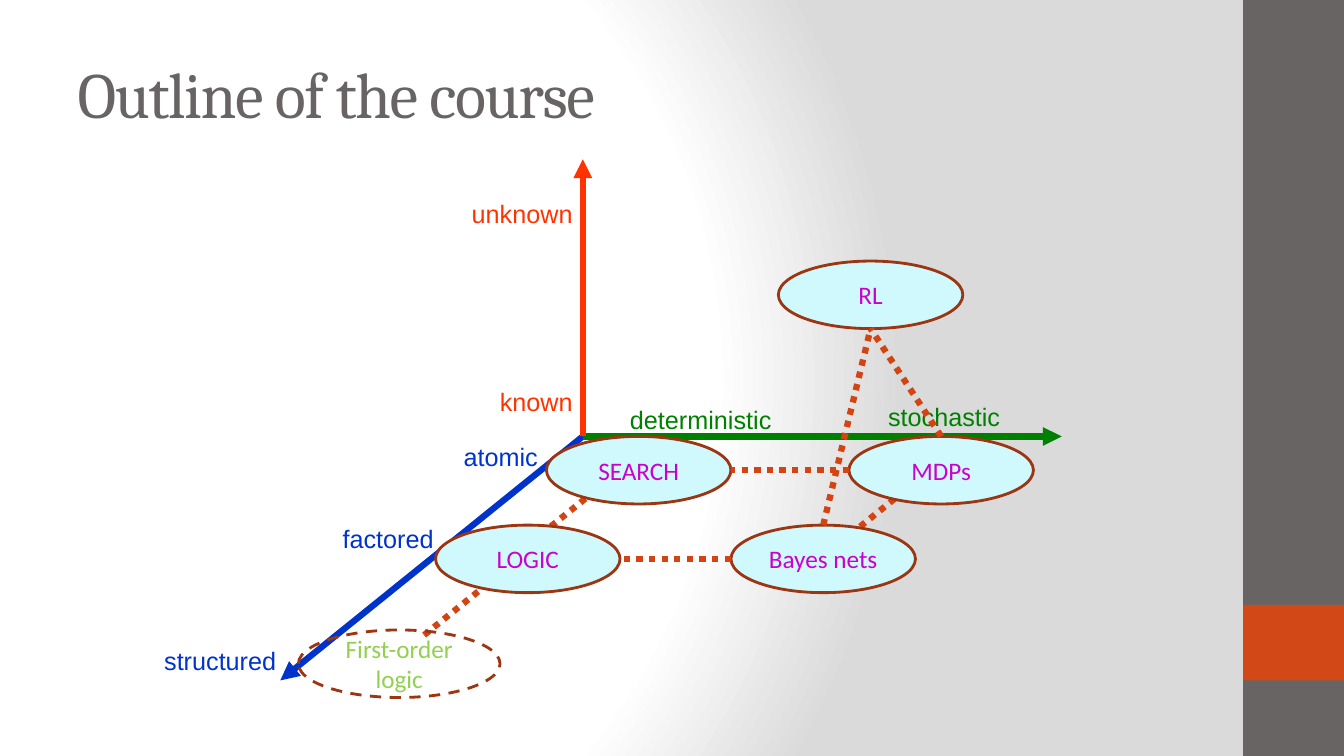
import pptx
import pptx.dml.color
import pptx.enum.dml
import pptx.enum.shapes
import pptx.enum.text
import pptx.oxml
import pptx.oxml.ns
import pptx.util

RGB = pptx.dml.color.RGBColor
GREY = RGB(0x69, 0x64, 0x64)
ORANGE = RGB(0xD3, 0x48, 0x17)
RUST = RGB(0xD3, 0x44, 0x12)
BROWN = RGB(0x9C, 0x35, 0x11)
CYAN = RGB(0xD0, 0xF9, 0xFE)
PURPLE = RGB(0xCC, 0x00, 0xCC)
LIME = RGB(0x92, 0xD0, 0x50)
BLUE = RGB(0x00, 0x33, 0xCC)
GREEN = RGB(0x00, 0x80, 0x00)
RED = RGB(0xFF, 0x33, 0x00)

KIND = pptx.enum.shapes.MSO_SHAPE
DASH = pptx.enum.dml.MSO_LINE
ALIGN = pptx.enum.text.PP_ALIGN
MIDDLE = pptx.enum.text.MSO_ANCHOR.MIDDLE
FIT = pptx.enum.text.MSO_AUTO_SIZE

LABEL = {"name": "Arial", "size": pptx.util.Pt(18)}
NODE = {"name": "Calibri", "size": pptx.util.Pt(18)}
TITLE = {"name": "Cambria", "size": pptx.util.Pt(46)}

# Axes: colour, arrow end, labels (text, left, top, width), from the origin
AXES = [
    (BLUE, (-3, 2.42), [("atomic", -1.28, 0, 0.95),
                        ("factored", -2.48, 0.81, 1.11),
                        ("structured", -4.25, 2.02, 1.32)]),
    (GREEN, (4.75, 0), [("deterministic", 0.37, -0.37, 1.67),
                        ("stochastic", 2.93, -0.4, 1.32)]),
    (RED, (0, -2.75), [("known", -0.92, -0.55, 0.93),
                       ("unknown", -1.2, -2.41, 1.21)]),
]

# Topics: left, top, width, from the origin
HIGH = 0.67
TOPICS = {
    "RL": (1.94, -1.74, 1.83),
    "Bayes nets": (1.47, 0.88, 1.83),
    "First-order logic": (-2.82, 1.92, 2),
    "LOGIC": (-1.46, 0.88, 1.83),
    "SEARCH": (-0.36, 0, 1.83),
    "MDPs": (2.64, 0, 1.83),
}
SIDES = {"top": (0.5, 0), "left": (0, 0.5),
         "bottom": (0.5, 1), "right": (1, 0.5)}
LINKS = [("Bayes nets", "top", "RL", "bottom"),
         ("MDPs", "left", "SEARCH", "right"),
         ("Bayes nets", "left", "LOGIC", "right"),
         ("MDPs", "top", "RL", "bottom")]
SLANTS = [(0.22, 0.46), (-0.94, 1.46), (3.19, 0.54)]
SLANT = (-0.67, 0.54)


def inch(*nums):
    return [pptx.util.Inches(num) for num in nums]


def shift(base, step):
    return base[0] + step[0], base[1] + step[1]


def style(item, form):
    for key, value in form.items():
        setattr(item, key, value)


def write(frame, text, form, color):
    part = frame.paragraphs[0]
    run = part.add_run()
    run.text = text
    style(run.font, form)
    run.font.color.rgb = color
    return part, run


def draw_line(shapes, start, end, color, dash=None, arrow=False):
    line = shapes.add_connector(pptx.enum.shapes.MSO_CONNECTOR.STRAIGHT,
                                *inch(*start, *end))
    line.line.color.rgb = color
    style(line.line, {"width": pptx.util.Pt(4.5), "dash_style": dash})
    props = line.element.spPr
    if arrow:
        tail = pptx.oxml.parse_xml(
            f'<a:tailEnd {pptx.oxml.ns.nsdecls("a")} type="triangle"/>')
        line.line._get_or_add_ln().append(tail)
    props.append(pptx.oxml.parse_xml(
        f'<a:effectLst {pptx.oxml.ns.nsdecls("a")}/>'))


def draw_back(slide):
    slide.background.fill.solid()
    props = slide.element.find(".//" + pptx.oxml.ns.qn("p:bgPr"))
    stops = "".join(
        f'<a:gs pos="{pos}000"><a:srgbClr val="{color}"/></a:gs>'
        for pos, color in [(0, "FFFFFF"), (75, "FFFFFF"), (100, "DADADA")])
    fill = pptx.oxml.parse_xml(
        f'<a:gradFill {pptx.oxml.ns.nsdecls("a")} rotWithShape="1">'
        f'<a:gsLst>{stops}</a:gsLst><a:path path="circle"><a:fillToRect '
        'l="20000" t="50000" r="100000" b="50000"/></a:path></a:gradFill>')
    props.replace(props[0], fill)


def draw_side(slide, left, top, width, height):
    # Full-height band, then its accent block
    for color, drop, tall in [(GREY, 0, height), (ORANGE, 6, 0.75)]:
        band = slide.shapes.add_shape(
            KIND.RECTANGLE, *inch(left, top + drop, width, tall))
        band.shadow.inherit = False
        band.fill.solid()
        band.fill.fore_color.rgb = color
        band.line.fill.background()


def draw_title(slide, *box):
    title = slide.shapes.title
    style(title, dict(zip(("left", "top", "width", "height"), inch(*box))))
    frame = title.text_frame
    style(frame, {"vertical_anchor": MIDDLE, "word_wrap": True,
                  "auto_size": FIT.NONE})
    part, run = write(frame, "Outline of the course", TITLE, GREY)
    part.alignment = ALIGN.LEFT
    run.font._element.set("spc", "-100")


def draw_axis(slide, base, color, tip, labels):
    group = slide.shapes.add_group_shape().shapes
    draw_line(group, base, shift(base, tip), color, arrow=True)
    for text, left, top, width in labels:
        box = group.add_textbox(*inch(*shift(base, (left, top)), width, 0.4))
        style(box.text_frame, {"word_wrap": False,
                               "auto_size": FIT.SHAPE_TO_FIT_TEXT})
        write(box.text_frame, text, LABEL, color)


def draw_topic(slide, base, text, left, top, width):
    oval = slide.shapes.add_shape(
        KIND.OVAL, *inch(*shift(base, (left, top)), width, HIGH))
    oval.shadow.inherit = False
    oval.line.color.rgb = BROWN
    oval.line.width = pptx.util.Pt(2)
    color = PURPLE
    if text == "First-order logic":
        oval.fill.background()
        oval.line.dash_style = DASH.DASH
        color = LIME
    else:
        oval.fill.solid()
        oval.fill.fore_color.rgb = CYAN
    style(oval.text_frame, {"word_wrap": True, "vertical_anchor": MIDDLE})
    part, _ = write(oval.text_frame, text, NODE, color)
    part.alignment = ALIGN.CENTER


def find_side(base, name, side):
    left, top, width = TOPICS[name]
    across, down = SIDES[side]
    return shift(base, (left + across * width, top + down * HIGH))


def draw_map(slide, *base):
    # Slanted links lie behind the topics
    for start in SLANTS:
        start = shift(base, start)
        draw_line(slide.shapes, start, shift(start, SLANT), RUST,
                  DASH.ROUND_DOT)
    for axis in AXES:
        draw_axis(slide, base, *axis)
    for text, place in TOPICS.items():
        draw_topic(slide, base, text, *place)
    # Links from side to side
    for name, side, goal, end in LINKS:
        draw_line(slide.shapes, find_side(base, name, side),
                  find_side(base, goal, end), RUST, DASH.ROUND_DOT)


def main():
    deck = pptx.Presentation()
    deck.slide_width, deck.slide_height = inch(13.33, 7.5)
    slide = deck.slides.add_slide(deck.slide_layouts[5])
    draw_back(slide)
    draw_side(slide, 12.33, 0, 1, 7.5)
    draw_map(slide, 5.78, 4.33)
    draw_title(slide, 0.67, 0.3, 11.11, 1.25)
    deck.save("out.pptx")


if __name__ == "__main__":
    main()
